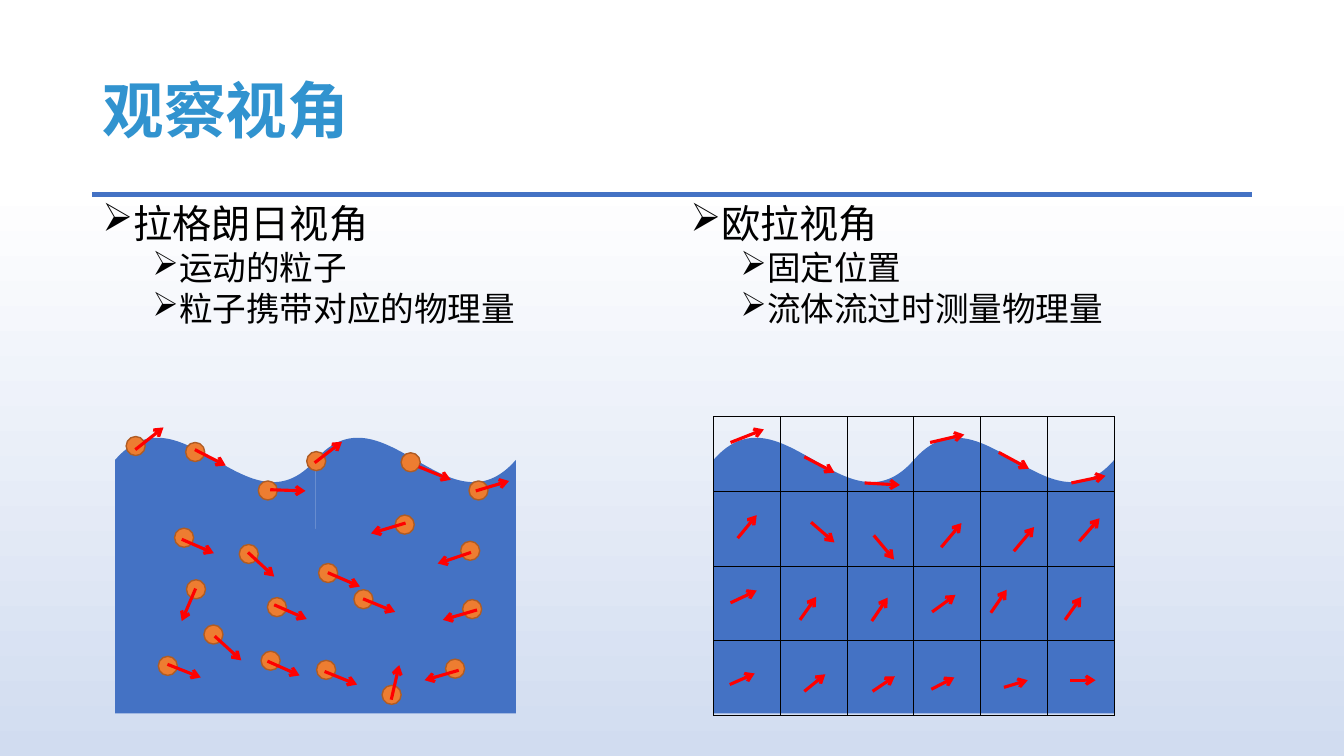
from lxml import etree
from pptx import Presentation
from pptx.dml.color import RGBColor
from pptx.enum import shapes as s, text as t
from pptx.oxml.ns import qn
from pptx.util import Cm, Pt

FACE = "Noto Sans CJK SC"
BLUE, RED, BLACK = "4472C4", "FF0000", "000000"
WIDE, HIGH = 10.1, 7.54  # size of each tank, cm
COLS, ROWS = 6, 4
BALL = 0.48

# All in cm from the tank's corner: ball centre, arrow start, arrow end
BALLS = [
    (1.33, 6.29, 1.32, 6.25, 2.16, 6.58),
    (4.08, 4.81, 4.01, 4.75, 4.83, 5.11),
    (2.48, 5.5, 2.51, 5.54, 3.18, 6.15),
    (1.74, 3.06, 1.68, 3.1, 2.49, 3.45),
    (5.37, 3.95, 5.36, 3.94, 6.17, 4.29),
    (3.37, 3.47, 3.35, 3.43, 4.01, 4.04),
    (2.04, 4.36, 2.03, 4.34, 1.68, 5.16),
    (0.52, 0.75, 0.51, 0.84, 1.22, 0.28),
    (2.02, 0.9, 2.01, 0.84, 2.79, 1.24),
    (5.07, 1.13, 5.03, 1.17, 5.72, 0.64),
    (3.85, 1.87, 3.91, 1.85, 4.8, 1.88),
    (7.45, 1.16, 7.65, 1.27, 8.46, 1.6),
    (9.16, 1.87, 9.09, 1.88, 9.93, 1.63),
    (3.92, 6.16, 3.84, 6.17, 4.65, 6.53),
    (8.95, 3.39, 8.97, 3.43, 8.13, 3.71),
    (8.57, 6.36, 8.66, 6.4, 7.8, 6.65),
    (6.97, 7.02, 6.96, 7.14, 7.16, 6.27),
    (6.26, 4.61, 6.25, 4.6, 7.06, 4.93),
    (7.3, 2.73, 7.32, 2.69, 6.45, 2.95),
    (9, 4.86, 9.12, 4.88, 8.26, 5.13),
    (5.32, 6.39, 5.28, 6.43, 6.1, 6.76),
]

# Arrow start and end, one grid row after another
FLOWS = [
    (0.43, 0.66, 1.27, 0.33), (2.29, 1.02, 3.05, 1.42), (3.81, 1.68, 4.7, 1.73),
    (5.46, 0.66, 6.32, 0.46), (7.19, 0.91, 7.95, 1.32), (9.02, 1.68, 9.88, 1.5),
    (0.61, 3.07, 1.09, 2.49), (2.46, 2.67, 3.05, 3.18), (4.04, 3, 4.55, 3.61),
    (5.74, 3.3, 6.25, 2.69), (7.57, 3.4, 8.08, 2.79), (9.22, 3.15, 9.73, 2.57),
    (0.43, 4.7, 1.09, 4.39), (2.18, 5.13, 2.59, 4.55), (3.99, 5.16, 4.39, 4.57),
    (5.51, 4.93, 6.1, 4.5), (6.99, 4.95, 7.39, 4.37), (8.86, 5.13, 9.27, 4.55),
    (0.41, 6.76, 1.04, 6.48), (2.29, 6.93, 2.82, 6.5), (4.01, 6.93, 4.57, 6.55),
    (5.49, 6.88, 6.07, 6.58), (7.32, 6.83, 7.92, 6.65), (8.99, 6.65, 9.63, 6.65),
]


def tint(code):
    return RGBColor.from_string(code)


def style(para, size, code, bold=False):
    font = para.font
    font.size, font.bold = Pt(size), bold
    font.color.rgb = tint(code)
    font.name = FACE
    props = para._p.pPr.find(qn("a:defRPr"))
    etree.SubElement(props, qn("a:ea"), typeface=FACE)


def stroke(parts, x1, y1, x2, y2, code, width, head=False):
    line = parts.add_connector(s.MSO_CONNECTOR.STRAIGHT,
                               Cm(x1), Cm(y1), Cm(x2), Cm(y2))
    line.line.color.rgb = tint(code)
    line.line.width = Pt(width)
    if head:
        etree.SubElement(line.line._ln, qn("a:tailEnd"), type="arrow")
    etree.SubElement(line._element.spPr, qn("a:effectLst"))


def solid(parts, kind, x, y, w, h, code, edge=None):
    shape = parts.add_shape(kind, Cm(x), Cm(y), Cm(w), Cm(h))
    shape.shadow.inherit = False
    shape.fill.solid()
    shape.fill.fore_color.rgb = tint(code)
    if edge:
        shape.line.color.rgb = tint(edge)
        shape.line.width = Pt(1)
    else:
        shape.line.fill.background()


def backdrop(slide):
    fill = slide.background.fill
    fill.gradient()
    fill.gradient_angle = 270
    for stop, place, code in zip(fill.gradient_stops, (0.24, 1), ("FFFFFF", "D1DCF0")):
        stop.position = place
        stop.color.rgb = tint(code)


def header(slide, x, y, w, h):
    title = slide.shapes.title
    title.left, title.top, title.width, title.height = Cm(x), Cm(y), Cm(w), Cm(h)
    frame = title.text_frame
    frame.text = "观察视角"
    frame.vertical_anchor = t.MSO_ANCHOR.MIDDLE
    para = frame.paragraphs[0]
    para.alignment = t.PP_ALIGN.LEFT
    para.line_spacing = 0.9
    style(para, 44, "3193CF", True)
    stroke(slide.shapes, x, y + 3.88, x + w, y + 3.88, BLUE, 3.5)


def points(slide, x, y, w, h, lines):
    """Place a bulleted list whose first line is the heading."""
    frame = slide.shapes.add_textbox(Cm(x), Cm(y), Cm(w), Cm(h)).text_frame
    frame.word_wrap = True
    for i, line in enumerate(lines):
        para = frame.paragraphs[0] if i == 0 else frame.add_paragraph()
        para.text = line
        para.level = min(i, 1)
        para.line_spacing = 0.85
        para.space_before = Pt(5 if i else 10)
        props = para._p.get_or_add_pPr()
        props.set("marL", str(Cm(1.9 if i else 0.64)))
        props.set("indent", str(-Cm(0.64)))
        etree.SubElement(props, qn("a:buChar"), char="➢")
        style(para, 24 if i else 28, BLACK)


def water(parts, x, y):
    half = WIDE / 2
    for i in range(2):
        solid(parts, s.MSO_SHAPE.WAVE, x + i * half, y + 0.52, half, 4.65, BLUE)
    solid(parts, s.MSO_SHAPE.RECTANGLE, x, y + 2.84, WIDE, 4.65, BLUE)


def arrow(parts, x, y, x1, y1, x2, y2):
    stroke(parts, x + x1, y + y1, x + x2, y + y2, RED, 2.25, True)


def swarm(slide, x, y):
    """Draw the water with moving particles."""
    parts = slide.shapes.add_group_shape().shapes
    water(parts, x, y)
    for cx, cy, *_ in BALLS:
        solid(parts, s.MSO_SHAPE.OVAL, x + cx - BALL / 2, y + cy - BALL / 2,
              BALL, BALL, "ED7D31", "AF5C24")
    for _, _, *ends in BALLS:
        arrow(parts, x, y, *ends)


def grid(slide, x, y):
    """Draw the water under a fixed grid with one arrow per cell."""
    parts = slide.shapes.add_group_shape().shapes
    water(parts, x, y)
    for i in range(COLS + 1):
        left = x + i * WIDE / COLS
        stroke(parts, left, y, left, y + HIGH, BLACK, 0.5)
    for i in range(ROWS + 1):
        top = y + i * HIGH / ROWS
        stroke(parts, x, top, x + WIDE, top, BLACK, 0.5)
    for ends in FLOWS:
        arrow(parts, x, y, *ends)


def main():
    deck = Presentation()
    deck.slide_width, deck.slide_height = Cm(33.87), Cm(19.05)
    slide = deck.slides.add_slide(deck.slide_layouts[5])
    backdrop(slide)
    header(slide, 2.33, 1.01, 29.21, 3.68)
    points(slide, 2.33, 5.07, 14.4, 12.1,
           ["拉格朗日视角", "运动的粒子", "粒子携带对应的物理量"])
    points(slide, 17.15, 5.07, 14.4, 12.1,
           ["欧拉视角", "固定位置", "流体流过时测量物理量"])
    grid(slide, 17.98, 10.49)
    swarm(slide, 2.9, 10.49)
    deck.save("out.pptx")


if __name__ == "__main__":
    main()
